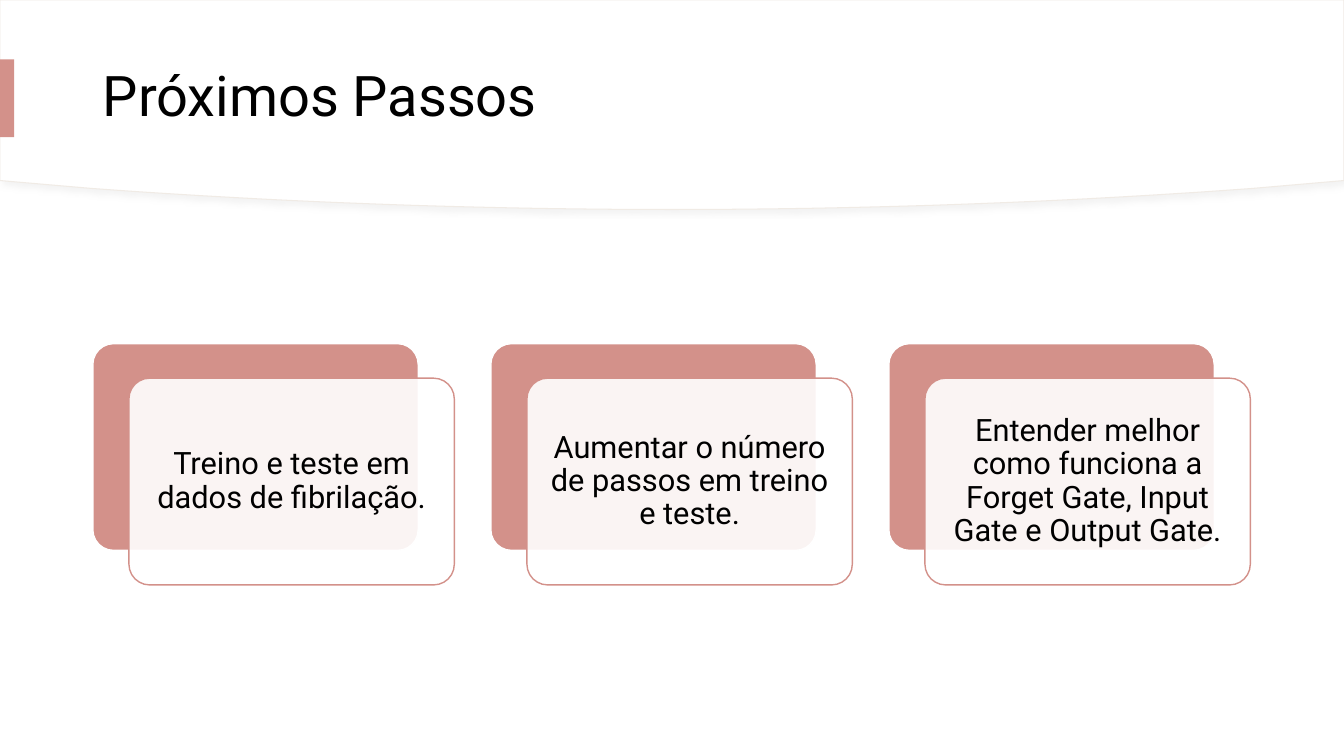
from dataclasses import dataclass

from lxml.etree import SubElement
from pptx import Presentation
from pptx.dml.color import RGBColor as RGB
from pptx.enum.shapes import MSO_SHAPE as SHAPE
from pptx.enum.text import MSO_ANCHOR as ANCHOR, MSO_AUTO_SIZE as AUTO, PP_ALIGN as ALIGN
from pptx.oxml.ns import qn
from pptx.util import Cm, Pt

WIDTH, HEIGHT = 33.87, 19.05


@dataclass(frozen=True)
class Theme:
    font: str = "Roboto"
    title_size: int = 40
    body_size: int = 22
    text: str = "000000"
    paper: str = "FFFFFF"
    accent: str = "D3918A"
    edge: str = "F0EBE5"
    shadow: str = "D9D9D9"


def write(tf, text, *, font, size, color, align, inset=(0.25, 0.13)):
    """Fill a text frame with one formatted paragraph."""
    tf.word_wrap = True
    tf.auto_size = AUTO.NONE
    tf.vertical_anchor = ANCHOR.MIDDLE
    tf.margin_left = tf.margin_right = Cm(inset[0])
    tf.margin_top = tf.margin_bottom = Cm(inset[1])
    p = tf.paragraphs[0]
    p.alignment = align
    p.line_spacing = 0.9
    r = p.add_run()
    r.text = text
    r.font.name = font
    r.font.size = Pt(size)
    r.font.color.rgb = RGB.from_string(color)


def bezier(p0, p1, p2, p3, steps=30):
    """Points along a cubic curve, without its start."""
    for i in range(1, steps + 1):
        t = i / steps
        u = 1 - t
        yield tuple(u**3 * a + 3 * u * u * t * b + 3 * u * t * t * c + t**3 * d
                    for a, b, c, d in zip(p0, p1, p2, p3))


class Deck:
    def __init__(self, theme):
        self.theme = theme
        self.prs = Presentation()
        self.prs.slide_width, self.prs.slide_height = Cm(WIDTH), Cm(HEIGHT)
        self.slide = None

    def add_slide(self):
        self.slide = self.prs.slides.add_slide(self.prs.slide_layouts[5])
        fill = self.slide.background.fill
        fill.solid()
        fill.fore_color.rgb = RGB.from_string(self.theme.paper)

    def paint(self, sp, fill, line=None, width=1.0, alpha=None):
        sp.shadow.inherit = False
        sp.fill.solid()
        sp.fill.fore_color.rgb = RGB.from_string(fill)
        if alpha is not None:
            color = sp.fill._xPr.find(qn("a:solidFill"))[0]
            SubElement(color, qn("a:alpha"), val=str(alpha * 1000))
        if line:
            sp.line.color.rgb = RGB.from_string(line)
            sp.line.width = Pt(width)
        else:
            sp.line.fill.background()

    def box(self, kind, x, y, w, h, fill, **style):
        sp = self.slide.shapes.add_shape(kind, Cm(x), Cm(y), Cm(w), Cm(h))
        if kind == SHAPE.ROUNDED_RECTANGLE:
            sp.adjustments[0] = 0.1
        self.paint(sp, fill, **style)
        return sp

    def curved_header(self):
        mid = WIDTH / 2
        right = [(31.55, 4.75), (27.05, 5.08), (22.12, 5.28), (mid, 5.28)]
        left = [(WIDTH - x, y) for x, y in reversed(right)]
        points = [(WIDTH, 0), (WIDTH, 4.55), right[0],
                  *bezier(*right), *bezier(*left), (0, 4.55)]
        builder = self.slide.shapes.build_freeform(0, 0)
        builder.add_line_segments([(Cm(x), Cm(y)) for x, y in points])
        sp = builder.convert_to_shape()
        self.paint(sp, self.theme.paper, line=self.theme.edge, width=0.75)
        # Soft shadow under the curve
        effects = sp._element.spPr.find(qn("a:effectLst"))
        shadow = SubElement(effects, qn("a:outerShdw"), blurRad=str(Pt(4)),
                            dist=str(Pt(3)), dir=str(45 * 60000))
        color = SubElement(shadow, qn("a:srgbClr"), val=self.theme.shadow)
        SubElement(color, qn("a:alpha"), val="30000")

    def title(self, text, x, y, w, h):
        sp = self.slide.shapes.title
        sp.left, sp.top, sp.width, sp.height = Cm(x), Cm(y), Cm(w), Cm(h)
        th = self.theme
        write(sp.text_frame, text, font=th.font, size=th.title_size,
              color=th.text, align=ALIGN.LEFT)
        # Bring the title in front of the header
        self.slide.shapes._spTree.append(sp._element)

    def card(self, text, x, y, w=8.2, h=5.21, shift=(0.91, 0.87)):
        th = self.theme
        self.box(SHAPE.ROUNDED_RECTANGLE, x, y, w, h, th.accent, line=th.paper)
        sp = self.box(SHAPE.ROUNDED_RECTANGLE, x + shift[0], y + shift[1], w, h,
                      th.paper, line=th.accent, alpha=90)
        write(sp.text_frame, text, font=th.font, size=th.body_size,
              color=th.text, align=ALIGN.CENTER, inset=(0.38, 0.38))


def main():
    deck = Deck(Theme())
    deck.add_slide()

    # Header
    deck.curved_header()
    deck.title("Próximos Passos", 2.34, 0.71, 29.21, 3.53)
    deck.box(SHAPE.RECTANGLE, 0, 1.5, 0.36, 1.96, deck.theme.accent)

    # Next steps
    steps = [
        "Treino e teste em dados de fibrilação.",
        "Aumentar o número de passos em treino e teste.",
        "Entender melhor como funciona a Forget Gate, Input Gate e Output Gate.",
    ]
    for i, text in enumerate(steps):
        deck.card(text, 2.34 + i * 10.03, 8.66)

    deck.prs.save("out.pptx")


if __name__ == "__main__":
    main()
